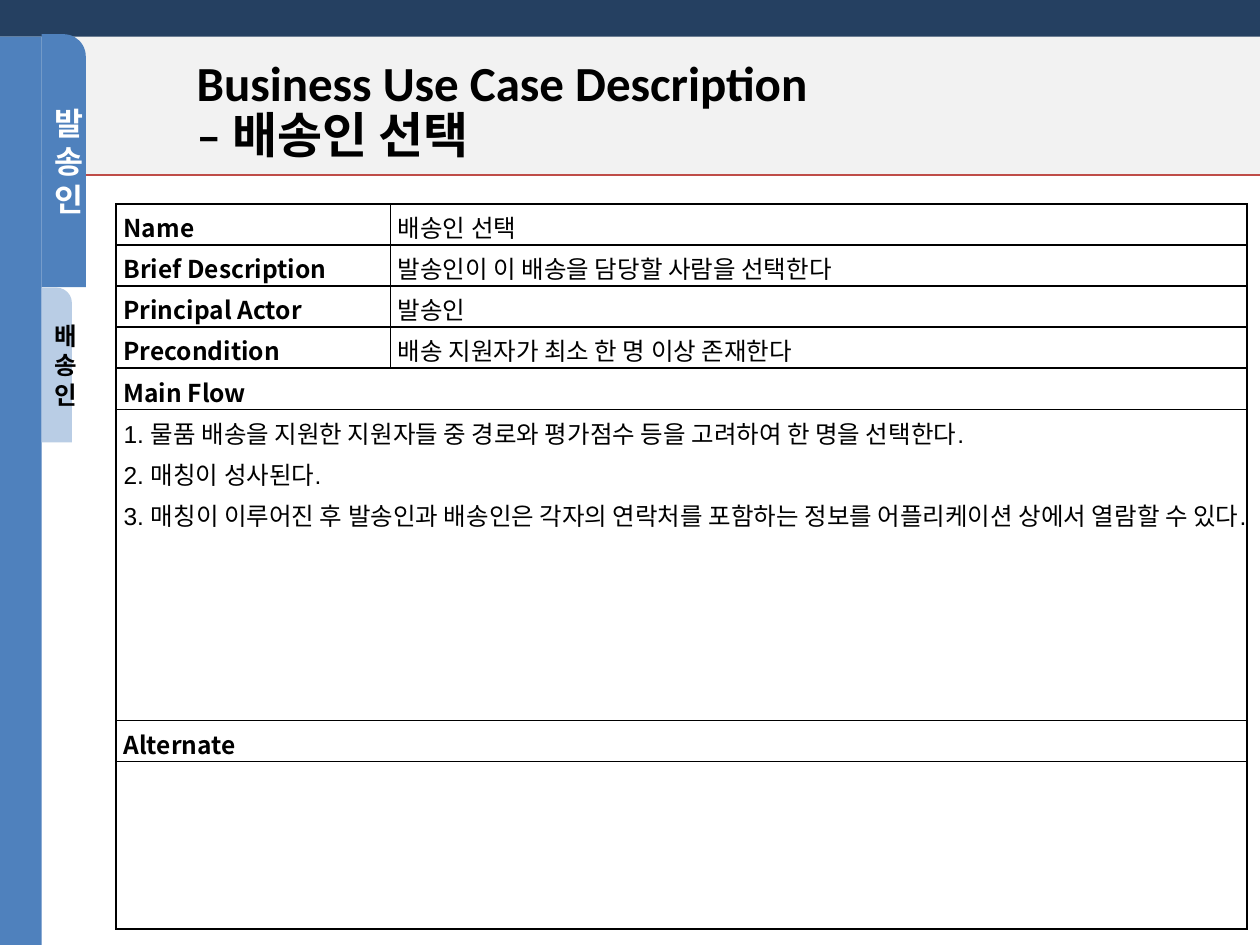
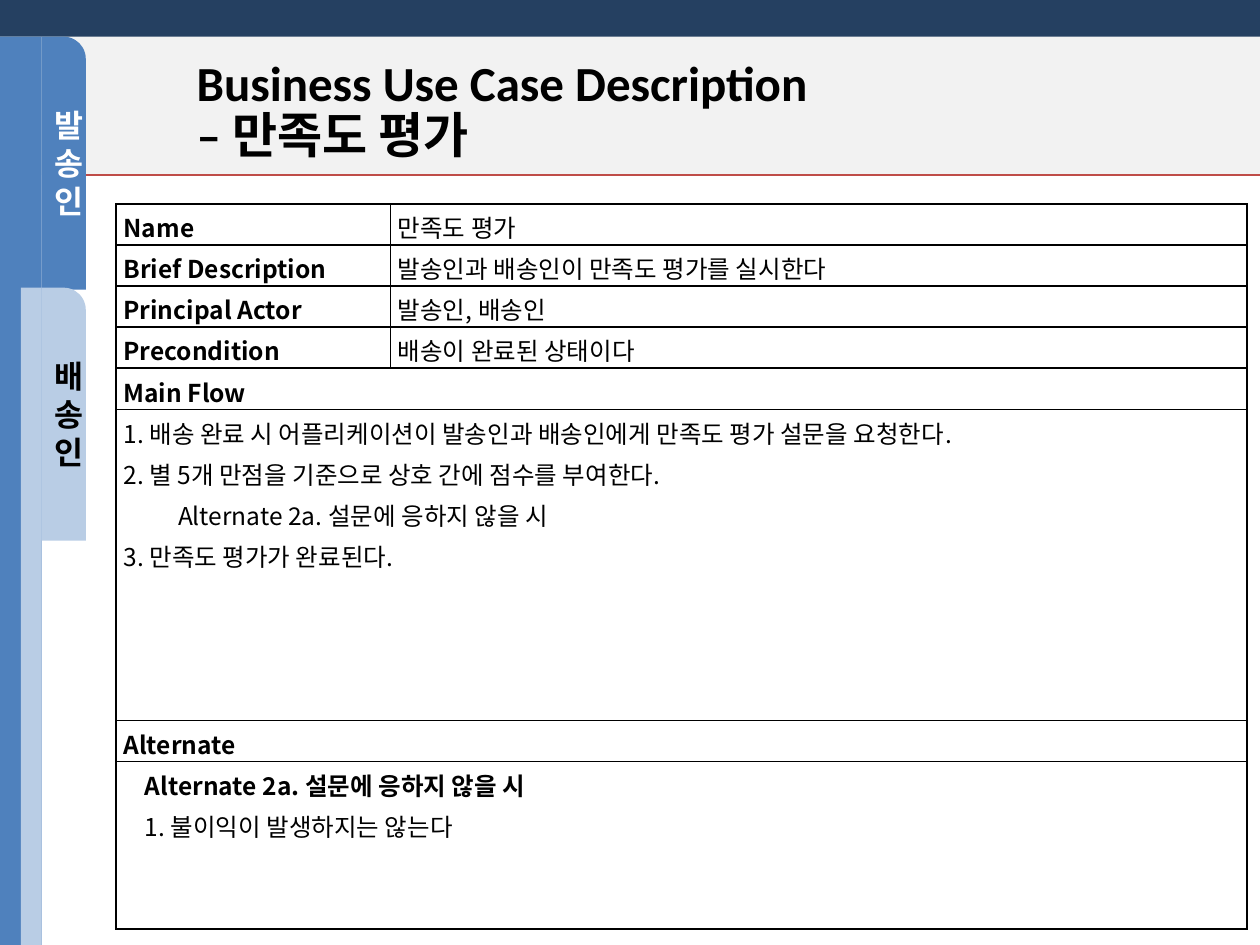
"""Builds two use case description slides with role tabs on the left."""
import lxml.etree
import pptx
import pptx.dml.color
import pptx.enum.shapes
import pptx.enum.text
import pptx.oxml
import pptx.oxml.ns
import pptx.util

Cm = pptx.util.Cm
Pt = pptx.util.Pt
SHAPE = pptx.enum.shapes.MSO_SHAPE
ALIGN = pptx.enum.text.PP_ALIGN
ANCHOR = pptx.enum.text.MSO_ANCHOR
qn = pptx.oxml.ns.qn

NAVY, BLUE, PALE_BLUE = "254061", "4F81BD", "B9CDE5"
GREY, RED, BLACK, WHITE = "F2F2F2", "BF4C48", "000000", "FFFFFF"
KOREAN, LATIN, TITLE_FONT = "Noto Sans CJK KR", "Arial", "Calibri"

SLIDE_W, SLIDE_H = 25.4, 19.05
BAND_H, HEADER_H, STRIPE_W = 0.74, 3.53, 0.84
TAB_W, TAB_H, LOWER_TAB_Y = 0.89, 5.1, 5.8
COLUMN_WIDTHS = (5.53, 17.27)
ROW_H, FLOW_H, ALTERNATE_H = 0.74, 6.27, 3.38
FIELDS = ("Name", "Brief Description", "Principal Actor", "Precondition")


def rgb(color):
    """Turn a hex string into a colour."""
    return pptx.dml.color.RGBColor.from_string(color)


class UseCaseDeck:
    """Holds the shared style and the current slide."""

    def __init__(self):
        """Start an empty 4:3 presentation."""
        self.prs = pptx.Presentation()
        self.prs.slide_width, self.prs.slide_height = Cm(SLIDE_W), Cm(SLIDE_H)
        self.slide = None

    def style(self, paragraph, size, font=KOREAN, color=BLACK, bold=True):
        """Format every run of a paragraph."""
        for run in paragraph.runs:
            run.font.size, run.font.bold, run.font.name = Pt(size), bold, font
            run.font.color.rgb = rgb(color)
            east_asian = lxml.etree.Element(qn("a:ea"), typeface=KOREAN)
            run.font._element.find(qn("a:latin")).addnext(east_asian)

    def block(self, x, y, w, h, color, kind=SHAPE.RECTANGLE):
        """Add a plain filled shape."""
        block = self.slide.shapes.add_shape(kind, Cm(x), Cm(y), Cm(w), Cm(h))
        block.shadow.inherit = False
        block.fill.solid()
        block.fill.fore_color.rgb = rgb(color)
        block.line.fill.background()
        return block

    def tab(self, role, y, color, text_color, w=TAB_W, h=TAB_H, size=18):
        """Add a role tab, narrow enough to stack its letters."""
        tab = self.block(STRIPE_W, y, w, h, color, SHAPE.ROUND_1_RECTANGLE)
        tab.adjustments[0] = 0.5
        frame = tab.text_frame
        frame.text = role
        frame.word_wrap = True
        frame.vertical_anchor = ANCHOR.MIDDLE
        frame.paragraphs[0].alignment = ALIGN.CENTER
        self.style(frame.paragraphs[0], size, color=text_color)

    def rule(self, x, y, end_x):
        """Add the thin line below the header."""
        rule = self.slide.shapes.add_connector(
            pptx.enum.shapes.MSO_CONNECTOR.STRAIGHT, Cm(x), Cm(y), Cm(end_x), Cm(y))
        rule.line.color.rgb = rgb(RED)
        rule.line.width = Pt(0.75)
        lxml.etree.SubElement(rule._element.spPr, qn("a:effectLst"))

    def title(self, use_case):
        """Place and format the title above the header band."""
        title = self.slide.shapes.title
        title.element.getparent().append(title.element)
        title.left, title.top, title.width, title.height = Cm(3.71), Cm(1.17), Cm(17.15), Cm(2.16)
        frame = title.text_frame
        frame.text = f"Business Use Case Description\v– {use_case}"
        frame.auto_size = pptx.enum.text.MSO_AUTO_SIZE.NONE
        frame.word_wrap = True
        frame.vertical_anchor = ANCHOR.MIDDLE
        frame.paragraphs[0].alignment = ALIGN.LEFT
        frame.paragraphs[0].line_spacing = 0.9
        self.style(frame.paragraphs[0], 28, TITLE_FONT)

    def start(self, use_case):
        """Open a slide with its header, title and left stripe."""
        self.slide = self.prs.slides.add_slide(self.prs.slide_layouts[5])
        self.block(0, 0, SLIDE_W, HEADER_H, GREY)
        self.block(0, 0, SLIDE_W, BAND_H, NAVY)
        self.title(use_case)
        self.rule(STRIPE_W + TAB_W, HEADER_H, SLIDE_W)
        self.block(0, BAND_H, STRIPE_W, SLIDE_H - BAND_H, BLUE)

    def cell(self, cell, lines, font=KOREAN):
        """Fill a cell with lines of text, bold flag and indent."""
        cell.margin_left = cell.margin_right = Cm(0.15)
        cell.margin_top = cell.margin_bottom = 0
        cell.text_frame.text = "\n".join(text for text, _, _ in lines)
        for paragraph, (_, bold, indent) in zip(cell.text_frame.paragraphs, lines):
            paragraph.alignment = ALIGN.JUSTIFY
            paragraph.line_spacing = 1.15
            if indent:
                paragraph._p.get_or_add_pPr().set("marL", str(Cm(indent)))
            self.style(paragraph, 14, font, bold=bold)

    def frame_cell(self, cell):
        """Give a cell a white fill and black borders."""
        properties = cell._tc.get_or_add_tcPr()
        for side in ("lnL", "lnR", "lnT", "lnB"):
            border = lxml.etree.SubElement(properties, qn(f"a:{side}"), w=str(Pt(1)))
            fill = lxml.etree.SubElement(border, qn("a:solidFill"))
            lxml.etree.SubElement(fill, qn("a:srgbClr"), val=BLACK)
        cell.fill.solid()
        cell.fill.fore_color.rgb = rgb(WHITE)

    def description(self, values, flow, alternate=(), flow_font=KOREAN):
        """Add the use case table."""
        heights = [ROW_H] * 5 + [FLOW_H, ROW_H, ALTERNATE_H]
        table = self.slide.shapes.add_table(
            len(heights), 2, Cm(2.34), Cm(4.11), Cm(sum(COLUMN_WIDTHS)), Cm(sum(heights))).table
        table.first_row = table.horz_banding = False
        for column, width in zip(table.columns, COLUMN_WIDTHS):
            column.width = Cm(width)
        for row, height in zip(table.rows, heights):
            row.height = Cm(height)
        for cell in table.iter_cells():
            self.frame_cell(cell)
        for row, (field, value) in enumerate(zip(FIELDS, values)):
            self.cell(table.cell(row, 0), [(field, True, 0)])
            self.cell(table.cell(row, 1), [(value, False, 0)])
        sections = (([("Main Flow", True, 0)], KOREAN), (flow, flow_font),
                    ([("Alternate", True, 0)], KOREAN), (alternate, KOREAN))
        for row, (lines, font) in enumerate(sections, len(FIELDS)):
            table.cell(row, 0).merge(table.cell(row, 1))
            self.cell(table.cell(row, 0), lines, font)


def main():
    """Build both slides and save them."""
    deck = UseCaseDeck()

    deck.start("배송인 선택")
    deck.description(
        ("배송인 선택", "발송인이 이 배송을 담당할 사람을 선택한다", "발송인",
         "배송 지원자가 최소 한 명 이상 존재한다"),
        [("1. 물품 배송을 지원한 지원자들 중 경로와 평가점수 등을 고려하여 한 명을 선택한다.", False, 0),
         ("2. 매칭이 성사된다.", False, 0),
         ("3. 매칭이 이루어진 후 발송인과 배송인은 각자의 연락처를 포함하는 정보를 "
          "어플리케이션 상에서 열람할 수 있다.", False, 0)],
        flow_font=LATIN)
    deck.tab("배송인", LOWER_TAB_Y, PALE_BLUE, BLACK, w=0.61, h=3.12, size=14)
    deck.tab("발송인", 0.69, BLUE, WHITE)

    deck.start("만족도 평가")
    deck.description(
        ("만족도 평가", "발송인과 배송인이 만족도 평가를 실시한다", "발송인, 배송인",
         "배송이 완료된 상태이다"),
        [("1. 배송 완료 시 어플리케이션이 발송인과 배송인에게 만족도 평가 설문을 요청한다.", False, 0),
         ("2. 별 5개 만점을 기준으로 상호 간에 점수를 부여한다.", False, 0),
         ("Alternate 2a. 설문에 응하지 않을 시", False, 1.1),
         ("3. 만족도 평가가 완료된다.", False, 0)],
        [("Alternate 2a. 설문에 응하지 않을 시", True, 0.43),
         ("1. 불이익이 발생하지는 않는다", False, 0.43)])
    deck.tab("발송인", BAND_H, BLUE, WHITE)
    deck.tab("배송인", LOWER_TAB_Y, PALE_BLUE, BLACK)
    deck.block(STRIPE_W / 2, LOWER_TAB_Y, STRIPE_W / 2, SLIDE_H - LOWER_TAB_Y, PALE_BLUE)

    deck.prs.save("out.pptx")


if __name__ == "__main__":
    main()
